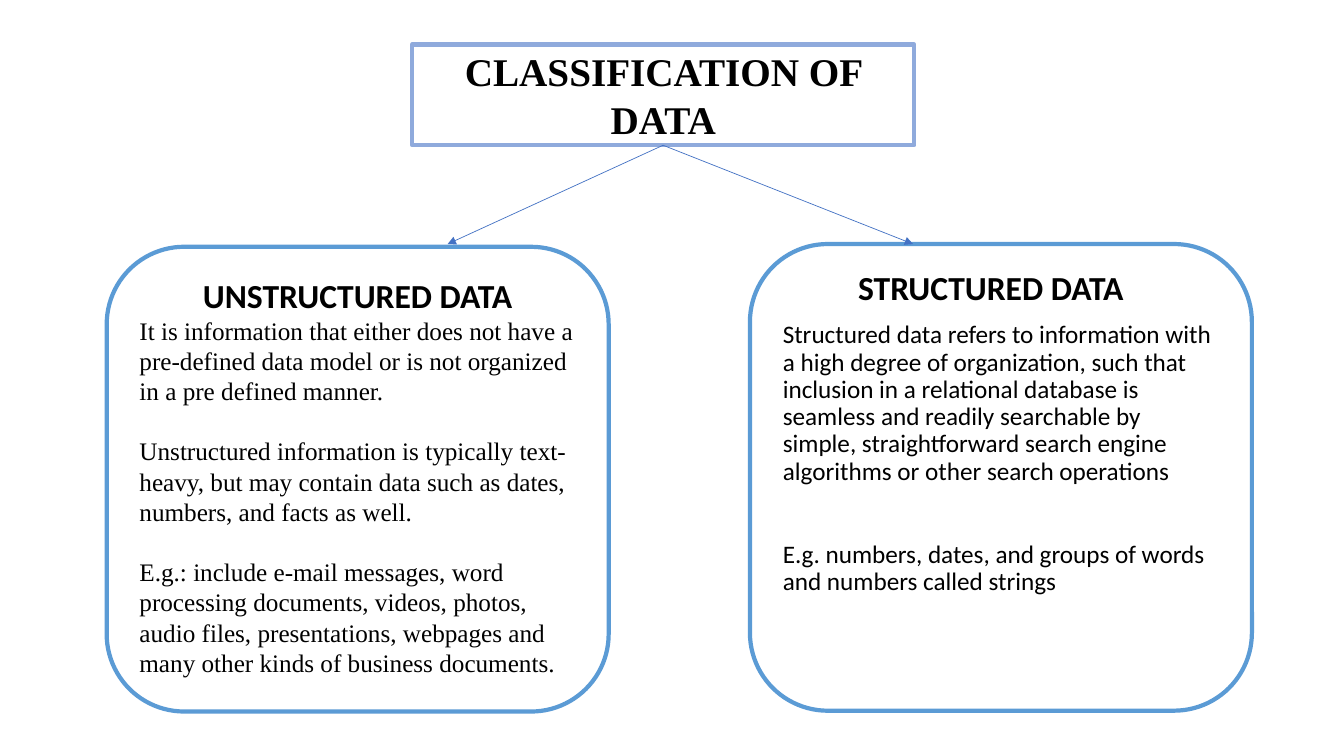
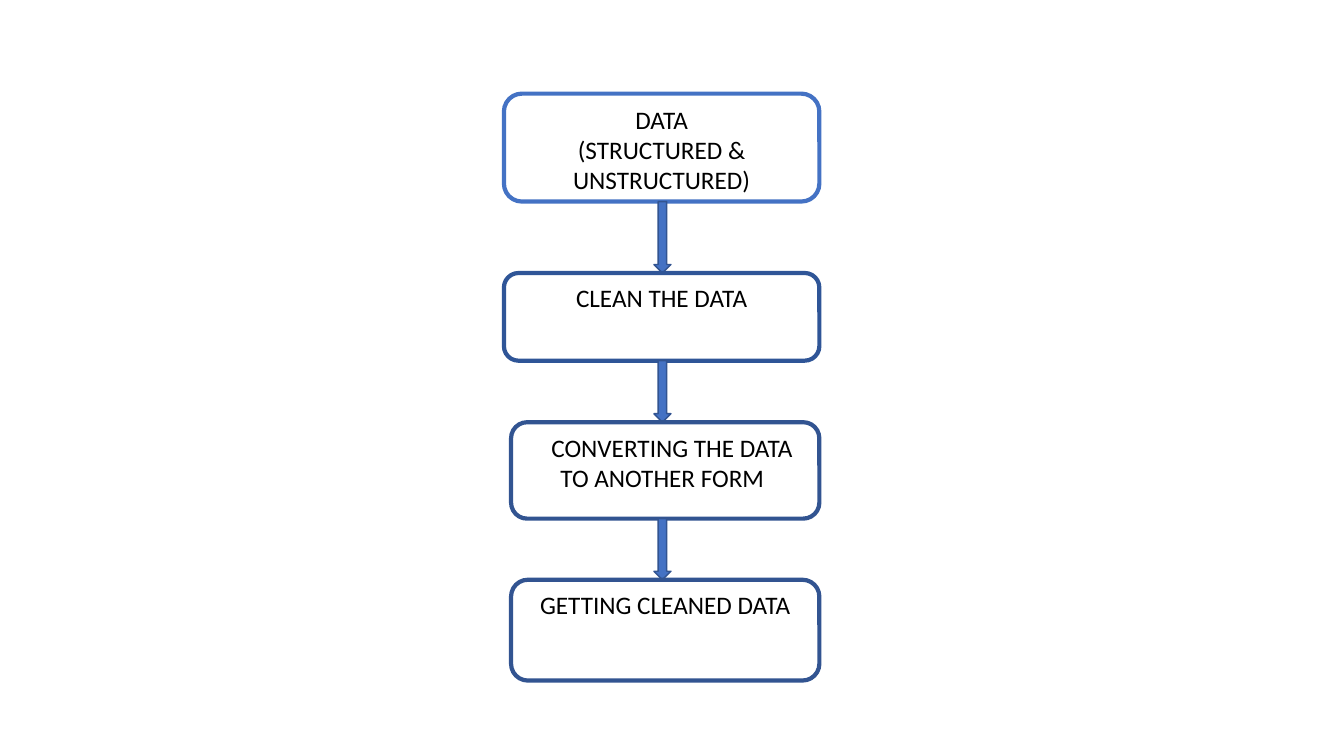
import pptx
import pptx.util
import pptx.dml.color
import pptx.enum.shapes
import pptx.enum.text
import pptx.oxml.ns
import lxml.etree

Cm = pptx.util.Cm
Pt = pptx.util.Pt
SHAPES = pptx.enum.shapes.MSO_SHAPE
ALIGN = pptx.enum.text.PP_ALIGN
ANCHOR = pptx.enum.text.MSO_ANCHOR
qn = pptx.oxml.ns.qn

COLORS = {
    "white": "FFFFFF",
    "black": "000000",
    "title_line": "8FAADC",
    "panel_line": "5B9BD5",
    "blue": "4472C4",
    "step_line": "2F5597",
    "dark_line": "325491",
}
SERIF = "Times New Roman"
SANS = "Calibri"


def paint(shape, fill, line, width):
    shape.fill.solid()
    shape.fill.fore_color.rgb = pptx.dml.color.RGBColor.from_string(COLORS[fill])
    shape.line.color.rgb = pptx.dml.color.RGBColor.from_string(COLORS[line])
    shape.line.width = Pt(width)
    shape.shadow.inherit = False


def write(box, number, text, font, size, bold=False, align=ALIGN.LEFT, before=0, spacing=1.0, margin=0, indent=0):
    frame = box.text_frame
    para = frame.paragraphs[0] if number == 0 else frame.add_paragraph()
    para.alignment = align
    para.space_before = Pt(before)
    para.line_spacing = spacing
    properties = para._p.get_or_add_pPr()
    properties.set("marL", str(Cm(margin)))
    properties.set("indent", str(Cm(indent)))
    lxml.etree.SubElement(properties, qn("a:buNone"))
    span = para.add_run()
    span.text = text
    span.font.name = font
    span.font.size = Pt(size)
    span.font.bold = bold
    span.font.color.rgb = pptx.dml.color.RGBColor.from_string(COLORS["black"])


deck = pptx.Presentation()
deck.slide_width = Cm(33.87)
deck.slide_height = Cm(19.05)

page = deck.slides.add_slide(deck.slide_layouts[3])
title, unstructured, structured = list(page.placeholders)[:3]
for extra in list(page.placeholders)[3:]:
    extra.element.getparent().remove(extra.element)

for box, left, top, height, geometry, line in [
    (title, 10.39, 1.12, 2.54, "rect", "title_line"),
    (unstructured, 2.69, 6.22, 11.71, "roundRect", "panel_line"),
    (structured, 18.9, 6.15, 11.76, "roundRect", "panel_line"),
]:
    box.left, box.top = Cm(left), Cm(top)
    box.width, box.height = Cm(12.65), Cm(height)
    outline = lxml.etree.SubElement(box.element.spPr, qn("a:prstGeom"), prst=geometry)
    lxml.etree.SubElement(outline, qn("a:avLst"))
    paint(box, "white", line, 3)
    box.text_frame.word_wrap = True
    box.text_frame.auto_size = pptx.enum.text.MSO_AUTO_SIZE.NONE
    box.text_frame.vertical_anchor = ANCHOR.MIDDLE if box is title else ANCHOR.TOP

write(title, 0, "CLASSIFICATION OF DATA", SERIF, 28, True, ALIGN.CENTER)

write(unstructured, 0, "UNSTRUCTURED DATA", SANS, 24, True, ALIGN.CENTER)
for number, (text, before) in enumerate([
    ("It is information that either does not have a pre-defined data model or is not organized "
     "in a pre defined manner.", 0),
    ("Unstructured information is typically text-heavy, but may contain data such as dates, "
     "numbers, and facts as well.", 21.5),
    ("E.g.: include e-mail messages, word processing documents, videos, photos, audio files, "
     "presentations, webpages and many other kinds of business documents.", 21.5),
], 1):
    write(unstructured, number, text, SERIF, 18, before=before)

write(structured, 0, "STRUCTURED DATA", SANS, 24, True, before=10, spacing=0.9, margin=1.9)
for number, (text, before) in enumerate([
    ("Structured data refers to information with a high degree of organization, such that inclusion "
     "in a relational database is seamless and readily searchable by simple, straightforward "
     "search engine algorithms or other search operations", 10),
    ("E.g. numbers, dates, and groups of words and numbers called strings", 40),
], 1):
    write(structured, number, text, SANS, 18, before=before, spacing=0.9)

for end in (11.28, 23.01):
    arrow = page.shapes.add_connector(
        pptx.enum.shapes.MSO_CONNECTOR.STRAIGHT, Cm(16.71), Cm(3.66), Cm(end), Cm(6.15))
    arrow.line.color.rgb = pptx.dml.color.RGBColor.from_string(COLORS["blue"])
    arrow.line.width = Pt(0.5)
    lxml.etree.SubElement(arrow.line._get_or_add_ln(), qn("a:tailEnd"), type="triangle")
    lxml.etree.SubElement(arrow._element.spPr, qn("a:effectLst"))

page = deck.slides.add_slide(deck.slide_layouts[6])
steps_right = 20.65
steps = [
    (12.7, 2.36, 2.72, "blue", ["DATA", "(STRUCTURED & UNSTRUCTURED)"], 0),
    (12.7, 6.88, 2.21, "step_line", ["CLEAN THE DATA"], 0),
    (12.88, 10.64, 2.43, "dark_line", ["CONVERTING THE DATA TO ANOTHER FORM "], 0.34),
    (12.88, 14.61, 2.54, "dark_line", ["GETTING CLEANED DATA"], 0),
]
previous_bottom = None
for left, top, height, line, texts, indent in steps:
    if previous_bottom is not None:
        arrow = page.shapes.add_shape(
            SHAPES.DOWN_ARROW, Cm(16.48), Cm(previous_bottom), Cm(0.43), Cm(top - previous_bottom))
        paint(arrow, "blue", "dark_line", 1)
    box = page.shapes.add_shape(
        SHAPES.ROUNDED_RECTANGLE, Cm(left), Cm(top), Cm(steps_right - left), Cm(height))
    paint(box, "white", line, 3)
    box.text_frame.word_wrap = True
    box.text_frame.vertical_anchor = ANCHOR.TOP
    for number, text in enumerate(texts):
        write(box, number, text, SANS, 18, align=ALIGN.CENTER, indent=indent)
    previous_bottom = top + height

deck.save("out.pptx")
